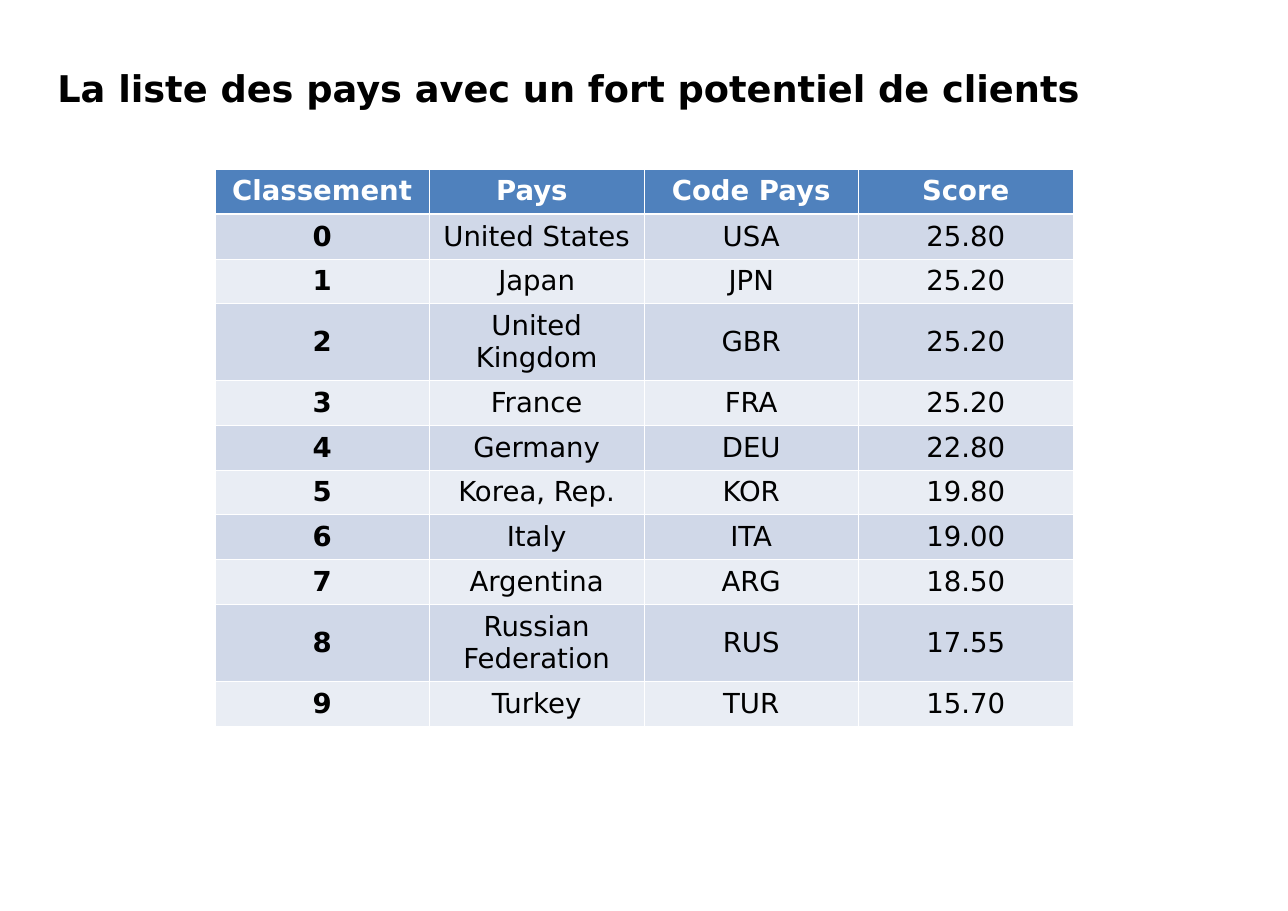
from typing import NamedTuple

from lxml.etree import SubElement
from pptx import Presentation
from pptx.dml.color import RGBColor
from pptx.enum.text import MSO_ANCHOR, PP_ALIGN
from pptx.oxml.ns import qn
from pptx.slide import Slide
from pptx.table import _Cell as Cell
from pptx.text.text import TextFrame
from pptx.util import Inches, Pt

FONT = "DejaVu Sans"
BLACK = RGBColor(0x00, 0x00, 0x00)
WHITE = RGBColor(0xFF, 0xFF, 0xFF)
HEADER_BLUE = RGBColor(0x4F, 0x81, 0xBD)
BANDS = (RGBColor(0xD0, 0xD8, 0xE8), RGBColor(0xE9, 0xED, 0xF4))

TABLE_HEIGHT = 5.05
TALL_ROW = 0.7
THIN, THICK = 0.45, 1.47


class Country(NamedTuple):
    rank: str
    name: str
    code: str
    score: str
    wraps: bool = False


HEADERS = ("Classement", "Pays ", "Code Pays", "Score")
COUNTRIES = (
    Country("0", "United States", "USA", "25.80"),
    Country("1", "Japan", "JPN", "25.20"),
    Country("2", "United Kingdom", "GBR", "25.20", wraps=True),
    Country("3", "France", "FRA", "25.20"),
    Country("4", "Germany", "DEU", "22.80"),
    Country("5", "Korea, Rep.", "KOR", "19.80"),
    Country("6", "Italy", "ITA", "19.00"),
    Country("7", "Argentina", "ARG", "18.50"),
    Country("8", "Russian Federation", "RUS", "17.55", wraps=True),
    Country("9", "Turkey", "TUR", "15.70"),
)


def write_text(frame: TextFrame, text: str, size: int, color: RGBColor,
               bold: bool, alignment: PP_ALIGN) -> None:
    frame.text = text
    paragraph = frame.paragraphs[0]
    paragraph.alignment = alignment
    font = paragraph.runs[0].font
    font.name, font.size, font.bold = FONT, Pt(size), bold
    font.color.rgb = color


def set_borders(cell: Cell, top: float, bottom: float) -> None:
    """Draw white borders; call before filling, as the schema puts lines first."""
    properties = cell._tc.get_or_add_tcPr()
    widths = {"lnL": THIN, "lnR": THIN, "lnT": top, "lnB": bottom}
    for side, width in widths.items():
        line = SubElement(properties, qn(f"a:{side}"), w=str(int(Pt(width))))
        fill = SubElement(line, qn("a:solidFill"))
        SubElement(fill, qn("a:srgbClr"), val=str(WHITE))


def add_title(slide: Slide) -> None:
    title = slide.shapes.title
    title.left, title.top = Inches(0.42), Inches(0.55)
    title.width, title.height = Inches(10), Inches(0.6)
    frame = title.text_frame
    frame.word_wrap = True
    frame.vertical_anchor = MSO_ANCHOR.TOP
    write_text(frame, "La liste des pays avec un fort potentiel de clients",
               24, BLACK, True, PP_ALIGN.LEFT)


def add_country_table(slide: Slide) -> None:
    table = slide.shapes.add_table(
        len(COUNTRIES) + 1, len(HEADERS),
        Inches(1.95), Inches(1.54), Inches(7.79), Inches(TABLE_HEIGHT)).table
    tall_count = sum(country.wraps for country in COUNTRIES)
    short_row = ((TABLE_HEIGHT - tall_count * TALL_ROW)
                 / (len(COUNTRIES) + 1 - tall_count))
    for row in table.rows:
        row.height = Inches(short_row)

    for column, header in enumerate(HEADERS):
        cell = table.cell(0, column)
        set_borders(cell, THIN, THICK)
        cell.fill.solid()
        cell.fill.fore_color.rgb = HEADER_BLUE
        write_text(cell.text_frame, header, 18, WHITE, True, PP_ALIGN.CENTER)

    for index, country in enumerate(COUNTRIES, start=1):
        if country.wraps:
            table.rows[index].height = Inches(TALL_ROW)
        for column, value in enumerate(country[:len(HEADERS)]):
            cell = table.cell(index, column)
            set_borders(cell, THICK if index == 1 else THIN, THIN)
            cell.fill.solid()
            cell.fill.fore_color.rgb = BANDS[(index - 1) % 2]
            cell.vertical_anchor = MSO_ANCHOR.MIDDLE
            write_text(cell.text_frame, value, 18, BLACK, column == 0,
                       PP_ALIGN.CENTER)


def main() -> None:
    presentation = Presentation()
    presentation.slide_width = Inches(11.69)
    presentation.slide_height = Inches(8.27)
    slide = presentation.slides.add_slide(presentation.slide_layouts[5])
    add_title(slide)
    add_country_table(slide)
    presentation.save("out.pptx")


if __name__ == "__main__":
    main()
